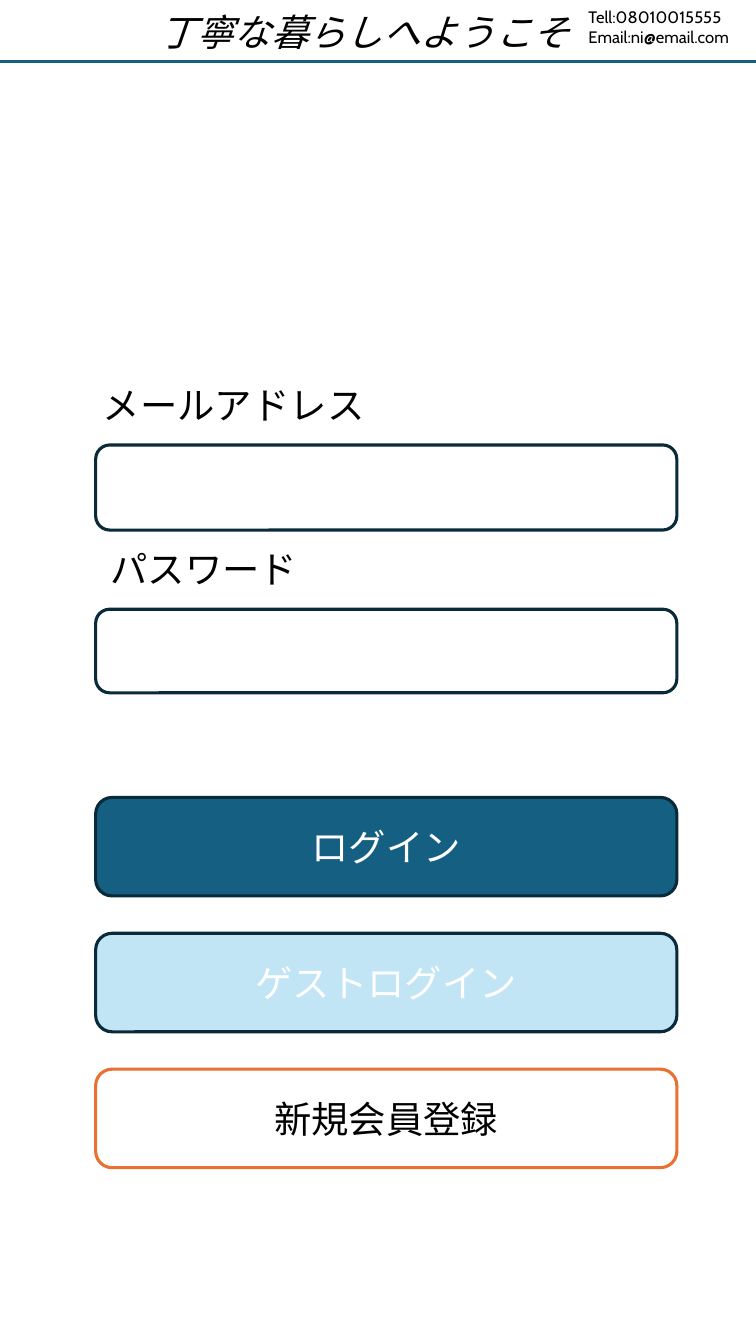
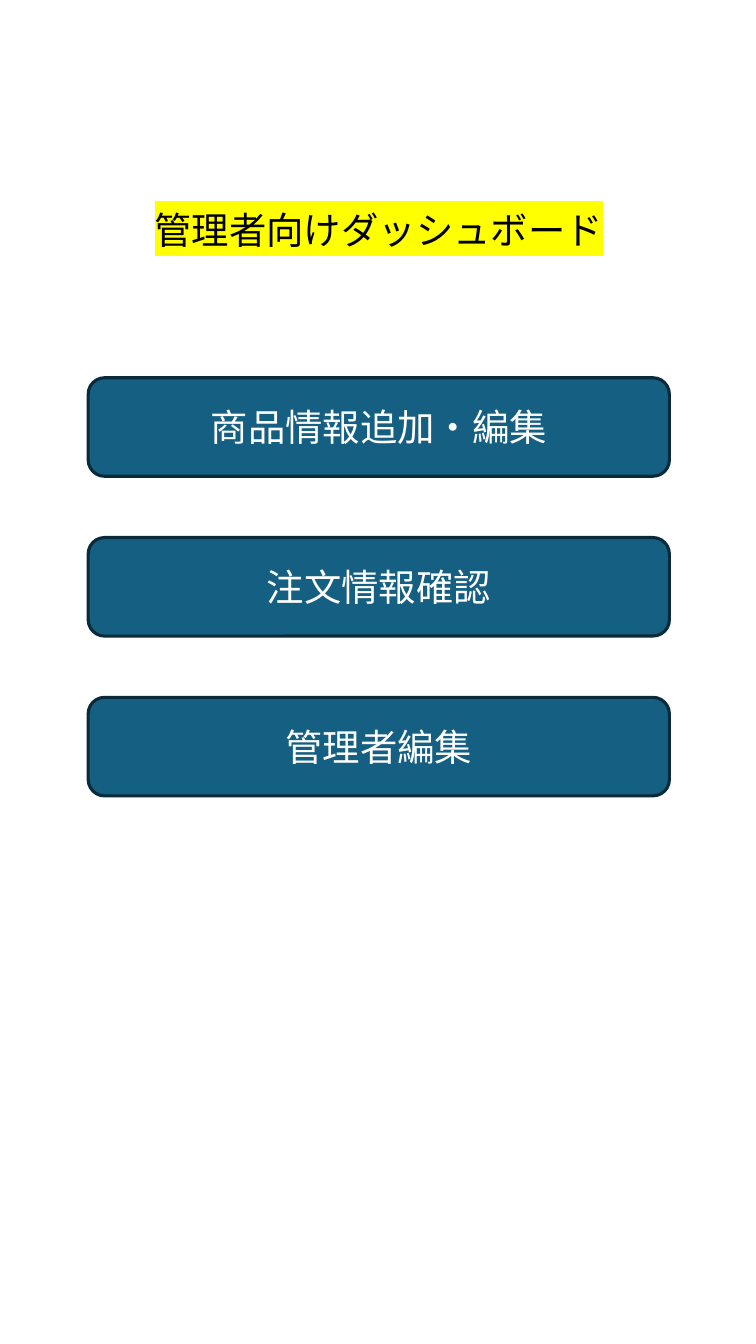
from lxml.etree import SubElement
from pptx import Presentation
from pptx.dml.color import RGBColor
from pptx.enum.shapes import MSO_CONNECTOR as CONNECTOR, MSO_SHAPE as SHAPE
from pptx.enum.text import MSO_ANCHOR as ANCHOR, PP_ALIGN as ALIGN
from pptx.oxml.ns import qn
from pptx.util import Emu, Pt

PX = 9144  # 100 px to the inch
SLIDE_WIDTH, SLIDE_HEIGHT = 506, 900
BUTTON_WIDTH, BUTTON_HEIGHT = 389, 66

FONT = "Cabin"
BLACK, WHITE, YELLOW = "000000", "FFFFFF", "FFFF00"
TEAL, PALE_BLUE, NAVY, ORANGE = "156082", "C1E5F5", "092A39", "E97132"


def px(*lengths):
    return [Emu(length * PX) for length in lengths]


def rgb(color):
    return RGBColor.from_string(color)


def write(frame, lines, size=18, color=BLACK, align=ALIGN.LEFT, italic=False):
    frame.word_wrap = True
    frame.text = "\n".join(lines)
    for paragraph in frame.paragraphs:
        paragraph.alignment = align
        font = paragraph.font
        font.name, font.size, font.italic = FONT, Pt(size), italic
        font.color.rgb = rgb(color)


def add_text(slide, box, *lines, **style):
    shape = slide.shapes.add_textbox(*px(*box))
    write(shape.text_frame, lines, **style)
    return shape


def highlight(shape, color):
    for paragraph in shape.text_frame.paragraphs:
        for run in paragraph.runs:
            mark = SubElement(run.font._element, qn("a:highlight"))
            SubElement(mark, qn("a:srgbClr")).set("val", color)


def add_rounded_box(slide, box, fill=WHITE, line=NAVY):
    shape = slide.shapes.add_shape(SHAPE.ROUNDED_RECTANGLE, *px(*box))
    shape.shadow.inherit = False
    shape.fill.solid()
    shape.fill.fore_color.rgb = rgb(fill)
    shape.line.color.rgb = rgb(line)
    shape.line.width = Pt(1.5)
    return shape


def add_buttons(slide, left, top, pitch, buttons):
    """Stack buttons given as (label, fill, line, text colour)."""
    for index, (label, fill, line, color) in enumerate(buttons):
        box = (left, top + index * pitch, BUTTON_WIDTH, BUTTON_HEIGHT)
        button = add_rounded_box(slide, box, fill, line)
        button.text_frame.vertical_anchor = ANCHOR.MIDDLE
        write(button.text_frame, [label], color=color, align=ALIGN.CENTER)


def add_header(slide, left, top, width, height):
    # Welcome title, contact details and the rule below them
    add_text(slide, (left + 46, top + 1, 396, 40), "丁寧な暮らしへようこそ",
             align=ALIGN.CENTER, italic=True)
    add_text(slide, (left + width - 122, top, 122, 37),
             "Tell:08010015555", "Email:ni@email.com", size=8)
    bottom = top + height
    rule = slide.shapes.add_connector(
        CONNECTOR.STRAIGHT, *px(left, bottom, left + width, bottom))
    rule.line.color.rgb = rgb(TEAL)
    rule.line.width = Pt(1.5)
    SubElement(rule._element.spPr, qn("a:effectLst"))


def add_field(slide, left, top, width, height, label, label_shift=0):
    # Label above an empty input box
    add_text(slide, (left + label_shift, top, width, 40), label)
    add_rounded_box(slide, (left, top + 47, width, height - 47))


def build_login(slide):
    left = 64
    add_header(slide, 0, 0, SLIDE_WIDTH, 41)
    add_field(slide, left, 251, BUTTON_WIDTH, 104, "メールアドレス", label_shift=-5)
    add_field(slide, left, 361, BUTTON_WIDTH, 103, "パスワード")
    add_buttons(slide, left, 534, 91, [
        ("ログイン", TEAL, NAVY, WHITE),
        ("ゲストログイン", PALE_BLUE, NAVY, WHITE),
        ("新規会員登録", WHITE, ORANGE, BLACK),
    ])


def build_dashboard(slide):
    title = add_text(slide, (72, 134, 363, 40), "管理者向けダッシュボード",
                     align=ALIGN.CENTER)
    highlight(title, YELLOW)
    labels = ["商品情報追加・編集", "注文情報確認", "管理者編集"]
    add_buttons(slide, 59, 253, 107,
                [(label, TEAL, NAVY, WHITE) for label in labels])


def main():
    presentation = Presentation()
    presentation.slide_width, presentation.slide_height = px(SLIDE_WIDTH, SLIDE_HEIGHT)
    blank = presentation.slide_layouts[6]
    for build in (build_login, build_dashboard):
        build(presentation.slides.add_slide(blank))
    presentation.save("out.pptx")


if __name__ == "__main__":
    main()
